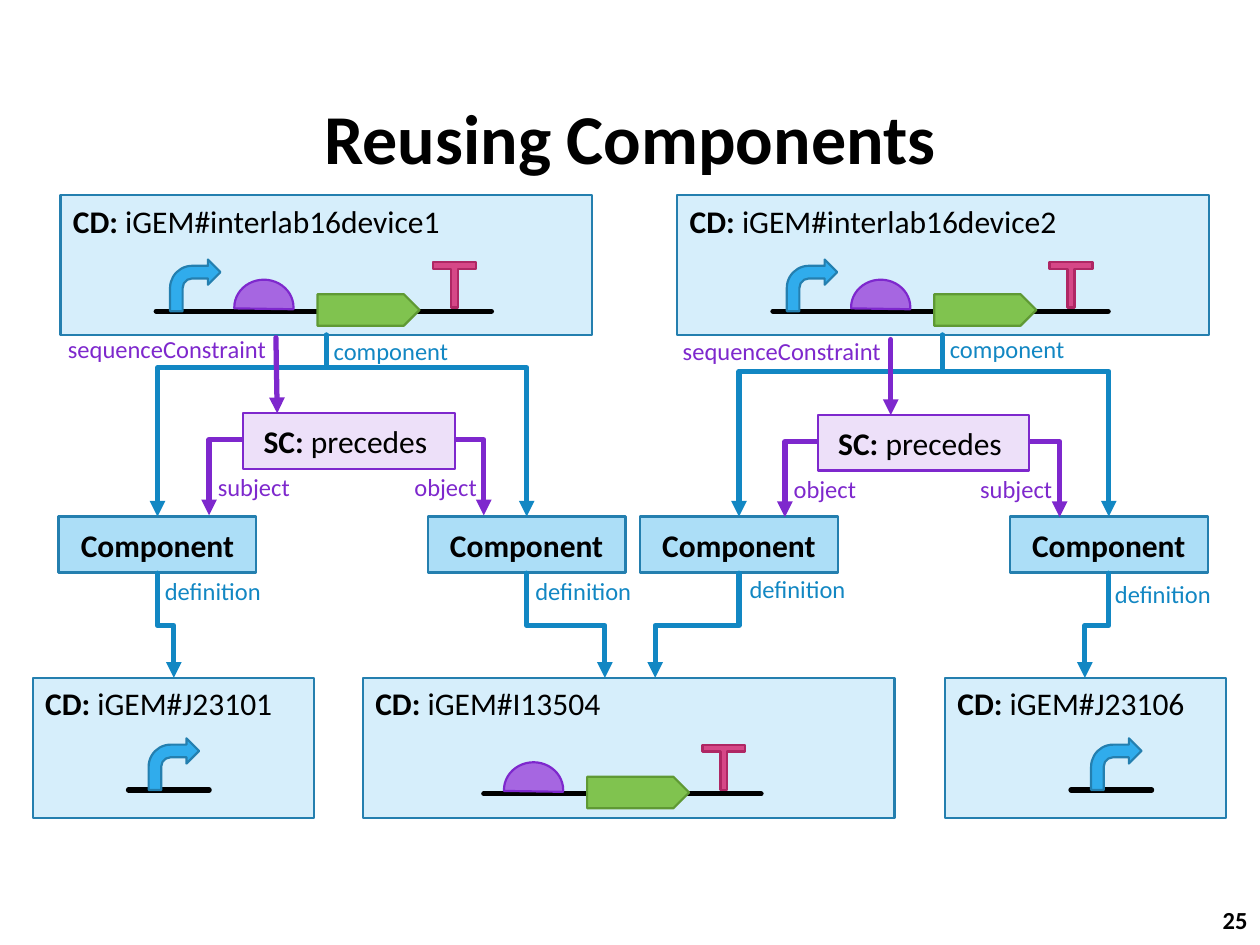
from pptx import Presentation
from pptx.dml.color import RGBColor
from pptx.enum.shapes import MSO_CONNECTOR, MSO_SHAPE
from pptx.enum.text import MSO_ANCHOR, PP_ALIGN
from pptx.oxml.ns import qn
from pptx.util import Inches, Pt
from lxml.etree import SubElement

COLUMNS, ROWS = 100, 75
BLACK, BLUE, PURPLE, EDGE = "000000", "1287C3", "7E28CD", "247FAF"
PALE_BLUE, MID_BLUE, PALE_PURPLE = "D6EEFB", "ACDEF7", "EDE0F9"


def rgb(value):
    return RGBColor.from_string(value)


def write(frame, *runs, size=18, color=BLACK, align=PP_ALIGN.LEFT,
          anchor=MSO_ANCHOR.TOP, wrap=True):
    frame.word_wrap = wrap
    frame.vertical_anchor = anchor
    paragraph = frame.paragraphs[0]
    paragraph.alignment = align
    for words, bold in runs:
        run = paragraph.add_run()
        run.text = words
        run.font.name = "Calibri"
        run.font.size = Pt(size)
        run.font.bold = bold
        run.font.color.rgb = rgb(color)


class Diagram:
    edge_width = 1.25
    wire_width = 3

    def __init__(self, deck):
        self.slide = deck.slides.add_slide(deck.slide_layouts[6])
        self.column = deck.slide_width / COLUMNS
        self.row = deck.slide_height / ROWS

    def grid(self, *lengths):
        units = (self.column, self.row)
        return [round(length * units[i % 2]) for i, length in enumerate(lengths)]

    def text(self, area, *runs, **style):
        box = self.slide.shapes.add_textbox(*self.grid(*area))
        write(box.text_frame, *runs, **style)

    def label(self, left, top, width, words, color):
        self.text((left, top, width, 3.4), (words, False),
                  size=14, color=color, wrap=False)

    def shape(self, kind, area, fill, edge, adjust=(), rotation=0):
        shape = self.slide.shapes.add_shape(kind, *self.grid(*area))
        shape.shadow.inherit = False
        shape.fill.solid()
        shape.fill.fore_color.rgb = rgb(fill)
        shape.line.color.rgb = rgb(edge)
        shape.line.width = Pt(self.edge_width)
        shape.rotation = rotation
        for i, value in enumerate(adjust):
            shape.adjustments[i] = value
        return shape

    def definition(self, left, top, width, name):
        box = self.shape(MSO_SHAPE.RECTANGLE, (left, top, width, 11.1), PALE_BLUE, EDGE)
        write(box.text_frame, ("CD: ", True), (name, False))

    def component(self, left):
        box = self.shape(MSO_SHAPE.RECTANGLE, (left, 41, 15.7, 4.45), MID_BLUE, EDGE)
        write(box.text_frame, ("Component", True),
              align=PP_ALIGN.CENTER, anchor=MSO_ANCHOR.MIDDLE)

    def constraint(self, left, top):
        box = self.shape(MSO_SHAPE.RECTANGLE, (left, top, 16.8, 4.4), PALE_PURPLE, PURPLE)
        write(box.text_frame, ("SC: ", True), ("precedes ", False),
              align=PP_ALIGN.CENTER, anchor=MSO_ANCHOR.MIDDLE)

    def wire(self, start, end, color, kind=MSO_CONNECTOR.STRAIGHT, arrow=True):
        wire = self.slide.shapes.add_connector(kind, *self.grid(*start, *end))
        wire.line.color.rgb = rgb(color)
        wire.line.width = Pt(self.wire_width)
        properties = wire._element.spPr
        outline = properties.find(qn("a:ln"))
        outline.set("cap", "rnd")
        if arrow:
            SubElement(outline, qn("a:tailEnd"), type="triangle")
        SubElement(properties, qn("a:effectLst"))
        return properties

    def step(self, start, end, bend=0.5):
        (x1, y1), (x2, y2) = start, end
        x, y = (x1 + x2) / 2, (y1 + y2) / 2
        along, across = (y2 - y1) / 2, abs(x2 - x1) / 2
        properties = self.wire((x - along, y - across), (x + along, y + across),
                               BLUE, MSO_CONNECTOR.ELBOW)
        frame = properties.find(qn("a:xfrm"))
        frame.set("rot", str((270 if x2 > x1 else 90) * 60000))
        if x2 > x1:
            frame.set("flipH", "1")
        geometry = properties.find(qn("a:prstGeom"))
        guides = geometry.find(qn("a:avLst"))
        SubElement(guides, qn("a:gd"), name="adj1", fmla=f"val {round(bend * 100000)}")

    def corner(self, start, end):
        properties = self.wire(start, end, PURPLE, MSO_CONNECTOR.ELBOW)
        properties.find(qn("a:prstGeom")).set("prst", "bentConnector2")

    def strand(self, left, level, length):
        self.wire((left, level), (left + length, level), BLACK, arrow=False)

    def promoter(self, left, level):
        self.shape(MSO_SHAPE.BENT_ARROW, (left, level - 4.1, 4, 4.1), "30ACEC", EDGE)

    def expression(self, left, level):
        self.shape(MSO_SHAPE.CHORD, (left, level - 2.5, 4.7, 4.4),
                   "A666E1", PURPLE, (106.9, 2.15))
        self.shape(MSO_SHAPE.PENTAGON, (left + 6.6, level - 1.35, 8.1, 2.5),
                   "80C34F", "5F9934")
        self.shape(MSO_SHAPE.LEFT_RIGHT_UP_ARROW, (left + 15.75, level - 3.9, 3.4, 3.6),
                   "D64787", "AF2764", (0.18, 0.08, 0), rotation=180)

    def device(self, left, name):
        self.definition(left, 15.5, 42.2, name)
        self.strand(left + 7.6, 24.7, 26.6)
        self.promoter(left + 8.7, 24.7)
        self.expression(left + 13.8, 24.7)

    def promoter_part(self, left, name, promoter):
        self.definition(left, 53.8, 22.3, name)
        self.strand(promoter - 1.6, 62.7, 6.4)
        self.promoter(promoter, 62.7)

    def usage(self, stem, bend, targets, constraint, arms):
        for target, part in targets:
            self.component(target - 7.85)
            self.step((target, 45.5), (part, 53.8))
            self.step((stem, 26.6), (target, 41), bend)
        left, top = constraint
        for edge, arm in zip((left, left + 16.8), arms):
            self.corner((edge, top + 2.1), (arm, top + 8.1))
        self.constraint(left, top)
        self.wire((left + 2.6 if stem < 50 else left + 5.8, top - 6),
                  (left + 2.7 if stem < 50 else left + 5.8, top), PURPLE)


def main():
    deck = Presentation()
    deck.slide_width, deck.slide_height = Inches(10), Inches(7.5)
    diagram = Diagram(deck)

    diagram.text((0, 0, 100, 21.7), ("Reusing Components", True), size=40,
                 align=PP_ALIGN.CENTER, anchor=MSO_ANCHOR.MIDDLE)
    diagram.text((95.3, 71, 4.7, 4), ("25", True), size=14,
                 align=PP_ALIGN.RIGHT, anchor=MSO_ANCHOR.MIDDLE)

    diagram.definition(28.8, 53.8, 42.2, "iGEM#I13504")
    diagram.strand(38.4, 63, 22)
    diagram.expression(40, 63)
    diagram.promoter_part(2.6, "iGEM#J23101", 11.8)
    diagram.promoter_part(75, "iGEM#J23106", 86.6)

    diagram.device(4.8, "iGEM#interlab16device1")
    diagram.usage(25.9, 0.18, [(12.5, 13.8), (41.8, 48)], (19.3, 32.8), (16.6, 38.4))
    diagram.device(53.75, "iGEM#interlab16device2")
    diagram.usage(74.8, 0.2, [(58.65, 52), (88, 86.1)], (64.9, 32.95), (62.3, 84.1))

    for left, top in ((12.1, 45.2), (41.5, 45.2), (58.5, 45.1), (87.5, 45.5)):
        diagram.label(left, top, 9.9, "definition", BLUE)
    for left, top in ((25.5, 26.2), (74.4, 26)):
        diagram.label(left, top, 11.4, "component", BLUE)
    for left, top in ((4.4, 26), (53.2, 26.2)):
        diagram.label(left, top, 18.2, "sequenceConstraint", PURPLE)
    for left, top in ((16.3, 37), (76.8, 37.1)):
        diagram.label(left, top, 7.9, "subject", PURPLE)
    for left, top in ((31.9, 37), (62, 37.1)):
        diagram.label(left, top, 7.1, "object", PURPLE)

    deck.save("out.pptx")


if __name__ == "__main__":
    main()
